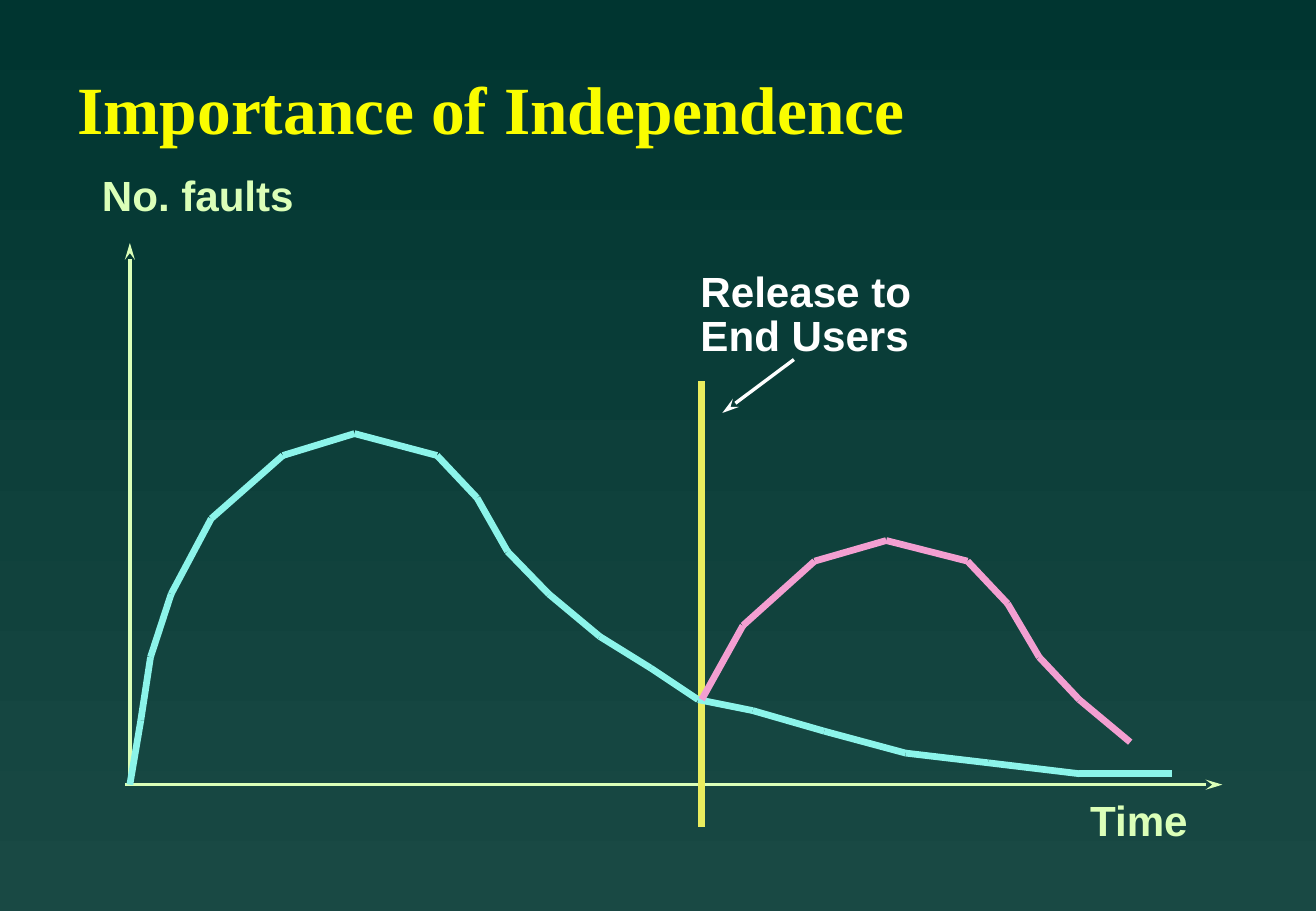
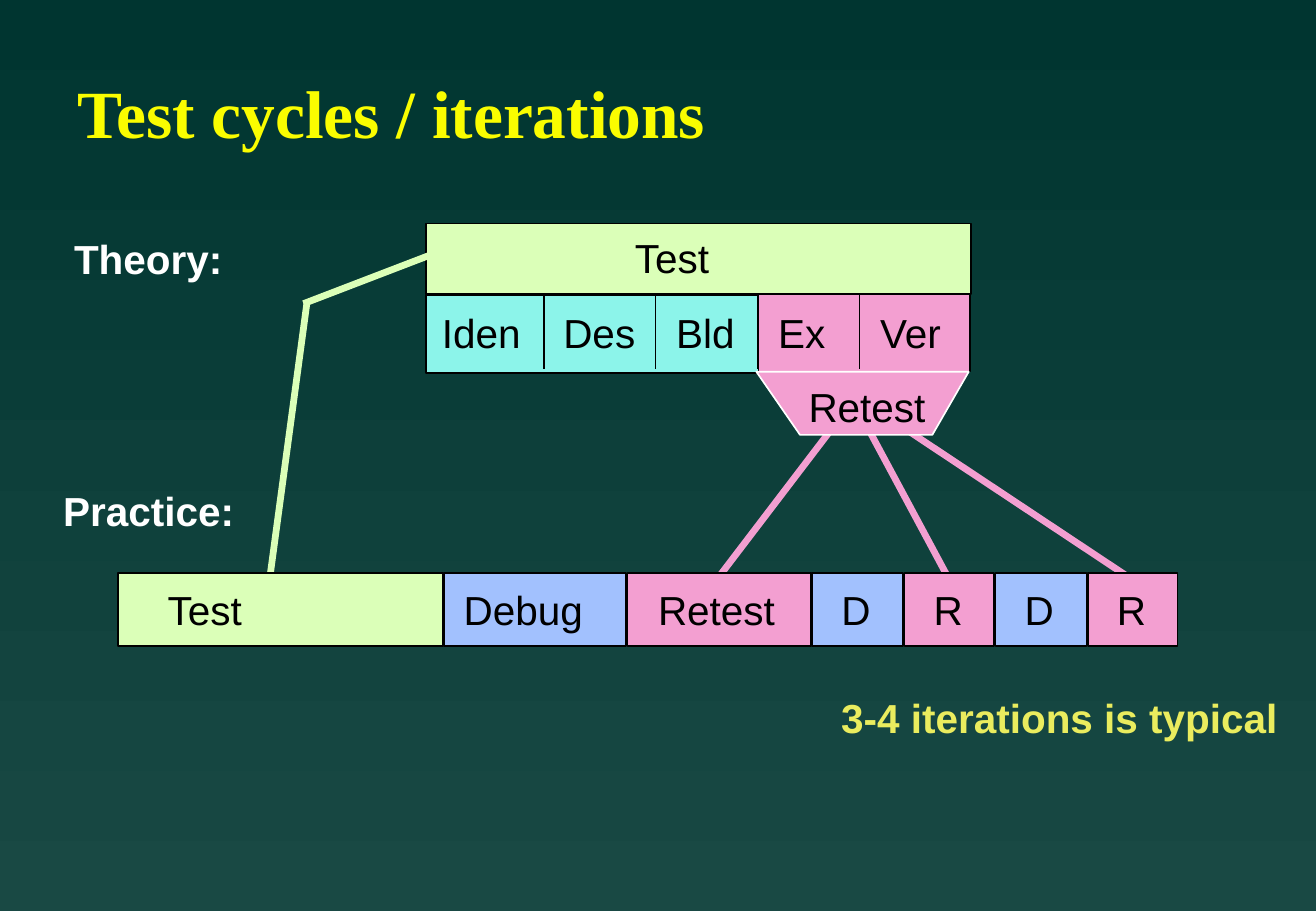
from dataclasses import dataclass
from itertools import pairwise

from lxml.etree import SubElement
from pptx import Presentation
from pptx.dml.color import RGBColor
from pptx.enum.shapes import MSO_CONNECTOR, MSO_SHAPE
from pptx.enum.text import MSO_ANCHOR, MSO_AUTO_SIZE, PP_ALIGN
from pptx.oxml.ns import qn
from pptx.util import Inches, Pt


@dataclass(frozen=True)
class Theme:
    top: str = "003530"
    bottom: str = "194944"
    title: str = "FAFD00"
    yellow: str = "EAEC5E"
    green: str = "DBFFB8"
    cyan: str = "8CF4EA"
    pink: str = "F39FD1"
    blue: str = "A2C1FE"
    white: str = "FFFFFF"
    black: str = "000000"
    title_font: str = "Times New Roman"
    body_font: str = "Arial"
    title_size: int = 40
    chart_size: int = 25
    body_size: int = 24
    thin: int = 1
    medium: int = 2
    thick: int = 4
    spacing: float = 0.87


T = Theme()

# Slide 1: axes, release marker and fault curves
AXES = [((1.03, 6.46), (10.07, 6.46)), ((1.07, 6.46), (1.07, 2))]
RELEASE_LINE = ((5.78, 3.14), (5.78, 6.81))
RELEASE_ARROW = ((6.54, 2.96), (5.95, 3.4))
CHART_LABELS = [  # text, box, colour
    ("Time", (8.91, 6.57, 0.95, 0.42), T.green),
    ("No. faults", (0.77, 1.42, 1.72, 0.42), T.green),
    ("Release to\nEnd Users", (5.7, 2.21, 1.88, 0.78), T.white),
]
CURVES = [
    (T.cyan, [(1.07, 6.46), (1.16, 5.93), (1.24, 5.41), (1.41, 4.89), (1.74, 4.27),
              (2.33, 3.75), (2.92, 3.57), (3.6, 3.75), (3.93, 4.1), (4.18, 4.54),
              (4.52, 4.89), (4.94, 5.24), (5.36, 5.5), (5.75, 5.76), (6.2, 5.85),
              (6.79, 6.02), (7.46, 6.2), (8.14, 6.28), (8.89, 6.37), (9.65, 6.37)]),
    (T.pink, [(5.78, 5.76), (6.12, 5.15), (6.71, 4.62), (7.3, 4.45), (7.97, 4.62),
              (8.3, 4.97), (8.56, 5.41), (8.89, 5.76), (9.31, 6.11)]),
]

# Slide 2: theory block, practice row and the links between them
HEADINGS = [  # text, box, colour
    ("Theory:", (0.54, 1.95, 1.36, 0.4), T.white),
    ("Practice:", (0.45, 4.03, 1.55, 0.4), T.white),
    ("3-4 iterations is typical", (6.86, 5.73, 3.73, 0.4), T.yellow),
]
THEORY_TEST = (3.51, 1.84, 4.49, 0.58)
STEP_BANDS = [((6.23, 2.42, 1.76, 0.64), T.pink), ((3.51, 2.43, 2.74, 0.64), T.cyan)]
STEPS = [  # text, left edge, indent, box width
    ("Iden", 3.51, 0.06, 0.79), ("Des", 4.48, 0.09, 0.73), ("Bld", 5.4, 0.1, 0.62),
    ("Ex", 6.24, 0.1, 0.53), ("Ver", 7.08, 0.1, 0.66),
]
LINKS = [
    ((3.57, 2.09), (2.5, 2.5), T.green), ((2.53, 2.48), (2.21, 4.85), T.green),
    ((5.86, 4.83), (6.89, 3.48), T.pink), ((7.85, 4.83), (7.12, 3.47), T.pink),
    ((9.37, 4.8), (7.38, 3.48), T.pink),
]
PRACTICE = [  # text, width, fill, indent
    ("Test", 2.68, T.green, 0.41), ("Debug", 1.5, T.blue, 0.16),
    ("Retest", 1.51, T.pink, 0.25), ("D", 0.75, T.blue, 0.24),
    ("R", 0.74, T.pink, 0.24), ("D", 0.75, T.blue, 0.24), ("R", 0.74, T.pink, 0.24),
]
PRACTICE_LEFT, PRACTICE_TOP, PRACTICE_HEIGHT, PRACTICE_GAP = 0.97, 4.72, 0.6, 0.01
RETEST_FUNNEL = [(6.23, 3.06), (6.59, 3.58), (7.68, 3.58), (7.98, 3.06)]


def rgb(color):
    return RGBColor.from_string(color)


def inches(values):
    return [Inches(v) for v in values]


def set_margins(tf, left, top, right, bottom):
    tf.margin_left, tf.margin_top, tf.margin_right, tf.margin_bottom = inches(
        (left, top, right, bottom))


def write(tf, text, color, size, bold=False, font=T.body_font, spacing=T.spacing):
    for i, line in enumerate(text.split("\n")):
        p = tf.add_paragraph() if i else tf.paragraphs[0]
        p.alignment = PP_ALIGN.LEFT
        p.line_spacing = spacing
        r = p.add_run()
        r.text = line
        r.font.name, r.font.size, r.font.bold = font, Pt(size), bold
        r.font.color.rgb = rgb(color)


def add_slide(prs, title, spacing):
    s = prs.slides.add_slide(prs.slide_layouts[6])
    fill = s.background.fill
    fill.gradient()
    fill.gradient_angle = 270
    for stop, color, position in zip(fill.gradient_stops, (T.top, T.bottom), (0, 1)):
        stop.color.rgb = rgb(color)
        stop.position = position
    tf = s.shapes.add_textbox(*inches((0.54, 0.58, 9.21, 0.67))).text_frame
    tf.word_wrap = True
    tf.vertical_anchor = MSO_ANCHOR.MIDDLE
    set_margins(tf, 0.1, 0.05, 0.1, 0.05)
    write(tf, title, T.title, T.title_size, True, T.title_font, spacing)
    return s


def add_label(s, text, box, color, size, bold=True):
    tf = s.shapes.add_textbox(*inches(box)).text_frame
    tf.word_wrap = False
    tf.auto_size = MSO_AUTO_SIZE.SHAPE_TO_FIT_TEXT
    set_margins(tf, 0.07, 0.03, 0, 0.03)
    write(tf, text, color, size, bold)


def add_line(s, start, end, color, width, arrow=False):
    line = s.shapes.add_connector(MSO_CONNECTOR.STRAIGHT, *inches(start + end))
    line.line.color.rgb = rgb(color)
    line.line.width = Pt(width)
    if arrow:
        ln = line._element.spPr.find(qn("a:ln"))
        SubElement(ln, qn("a:tailEnd"), type="stealth", w="med", len="lg")
    SubElement(line._element.spPr, qn("a:effectLst"))


def paint(sp, fill, line):
    sp.shadow.inherit = False
    sp.fill.solid()
    sp.fill.fore_color.rgb = rgb(fill)
    sp.line.color.rgb = rgb(line)
    sp.line.width = Pt(T.thin)


def fill_text(sp, text, left, top):
    tf = sp.text_frame
    tf.word_wrap = True
    tf.vertical_anchor = MSO_ANCHOR.TOP
    set_margins(tf, left, top, 0, 0)
    write(tf, text, T.black, T.body_size)


def add_block(s, box, fill):
    sp = s.shapes.add_shape(MSO_SHAPE.RECTANGLE, *inches(box))
    paint(sp, fill, T.black)
    return sp


def build_independence(prs):
    s = add_slide(prs, "Importance of Independence", 0.98)
    for start, end in AXES:
        add_line(s, start, end, T.green, T.medium, arrow=True)
    for text, box, color in CHART_LABELS:
        add_label(s, text, box, color, T.chart_size)
    add_line(s, *RELEASE_LINE, T.yellow, T.thick)
    add_line(s, *RELEASE_ARROW, T.white, T.medium, arrow=True)
    for color, points in CURVES:
        for start, end in pairwise(points):
            add_line(s, start, end, color, T.thick)


def build_cycles(prs):
    s = add_slide(prs, "Test cycles / iterations", 1.0)
    for text, box, color in HEADINGS:
        add_label(s, text, box, color, T.body_size)

    # Theory block
    fill_text(add_block(s, THEORY_TEST, T.green), "Test", 1.72, 0.13)
    for box, fill in STEP_BANDS:
        add_block(s, box, fill)
    for i, (text, left, indent, width) in enumerate(STEPS):
        if i:
            add_line(s, (left, 2.43), (left, 3.04), T.black, T.thin)
        add_label(s, text, (left + indent, 2.56, width, 0.4), T.black, T.body_size, False)

    # Links run behind the practice row and the funnel
    for start, end, color in LINKS:
        add_line(s, start, end, color, T.thick)

    # Practice row
    left = PRACTICE_LEFT
    for text, width, fill, indent in PRACTICE:
        sp = add_block(s, (left, PRACTICE_TOP, width, PRACTICE_HEIGHT), fill)
        fill_text(sp, text, indent, 0.15)
        left += width + PRACTICE_GAP

    # Retest funnel
    first, *others = [tuple(inches(point)) for point in RETEST_FUNNEL]
    builder = s.shapes.build_freeform(*first)
    builder.add_line_segments(others)
    funnel = builder.convert_to_shape()
    paint(funnel, T.pink, T.white)
    fill_text(funnel, "Retest", 0.43, 0.14)


def main():
    prs = Presentation()
    prs.slide_width, prs.slide_height = inches((10.84, 7.5))
    build_independence(prs)
    build_cycles(prs)
    prs.save("out.pptx")


if __name__ == "__main__":
    main()
